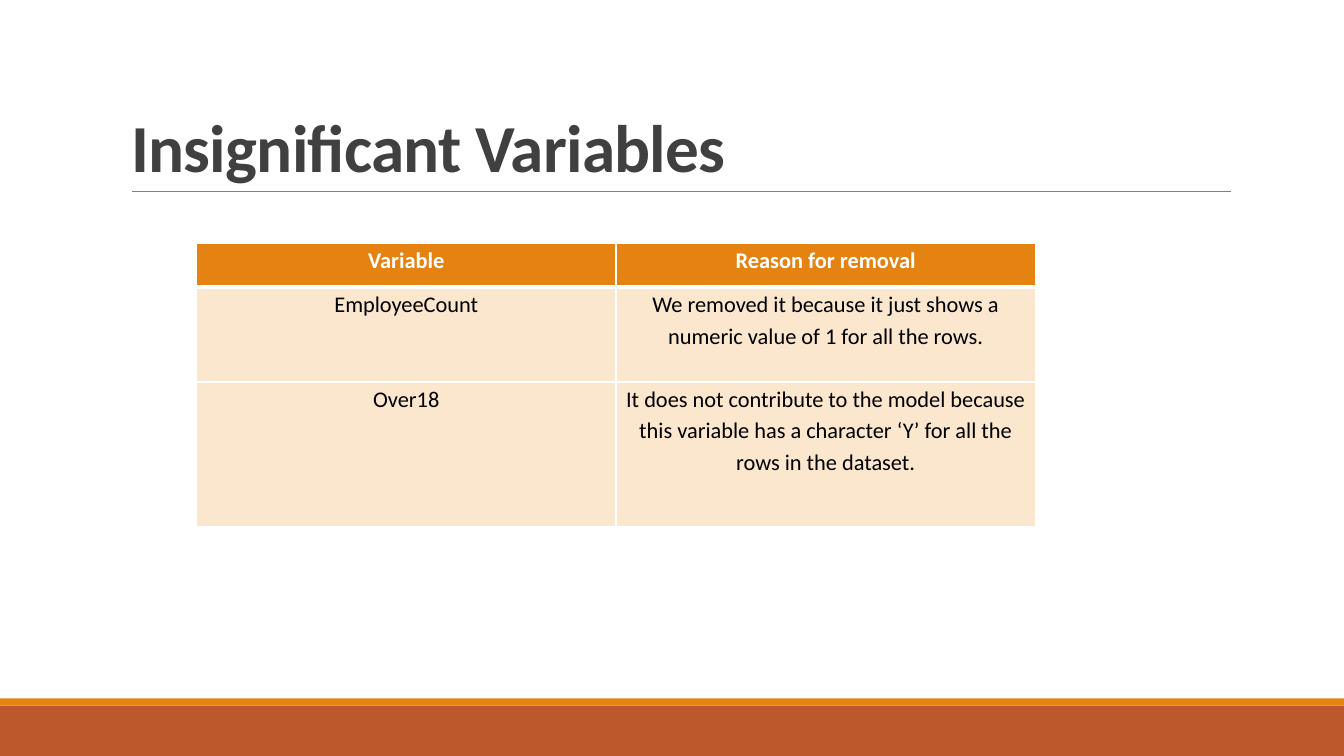
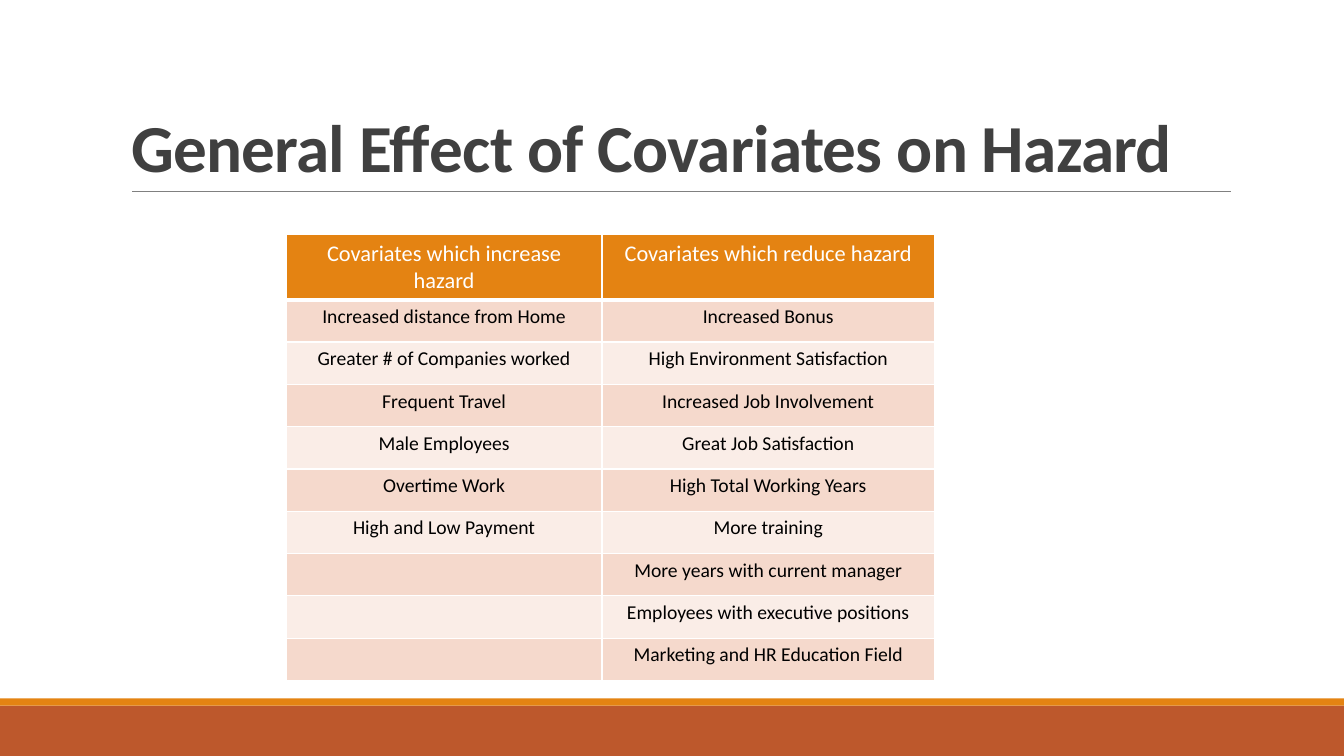
"""Build two table slides that share a title style and footer bands."""
from lxml import etree
from pptx import Presentation
from pptx.dml.color import RGBColor
from pptx.enum.shapes import MSO_CONNECTOR, MSO_SHAPE
from pptx.enum.text import MSO_ANCHOR, MSO_AUTO_SIZE, PP_ALIGN
from pptx.oxml.ns import qn
from pptx.util import Pt

STRAIGHT = MSO_CONNECTOR.STRAIGHT
RECTANGLE = MSO_SHAPE.RECTANGLE
BOTTOM = MSO_ANCHOR.BOTTOM
NO_AUTOFIT = MSO_AUTO_SIZE.NONE
LEFT, CENTER = PP_ALIGN.LEFT, PP_ALIGN.CENTER

PX = 9144
PAGE_WIDTH, PAGE_HEIGHT = 1333, 750
FONT = "Calibri"
TITLE_ONLY = 5

WHITE = RGBColor(0xFF, 0xFF, 0xFF)
BLACK = RGBColor(0x00, 0x00, 0x00)
CHARCOAL = RGBColor(0x40, 0x40, 0x40)
GRAY = RGBColor(0x80, 0x80, 0x80)
ORANGE = RGBColor(0xE4, 0x83, 0x12)
RUST = RGBColor(0xBD, 0x58, 0x2C)
CREAM = RGBColor(0xFB, 0xE6, 0xCE)
PEACH = RGBColor(0xF5, 0xD9, 0xCC)
BLUSH = RGBColor(0xFA, 0xED, 0xE7)

TITLE_BOX = (120, 31, 1100, 159)
TITLE_RULE = (131, 190, 1221, 190)
BANDS = [
    ((0, 700, PAGE_WIDTH, 50), RUST),
    ((0, 693, PAGE_WIDTH, 7), ORANGE),
]

SLIDES = [
    {
        "title": "Insignificant Variables",
        "origin": (195, 241),
        "columns": [416, 416],
        "heights": [44, 94, 143],
        "margins": (7, 0),
        "spacing": 1.15,
        "header_bold": True,
        "body_size": 16,
        "body_fills": [CREAM],
        "rows": [
            ("Variable", "Reason for removal"),
            ("EmployeeCount",
             "We removed it because it just shows a numeric value of 1 "
             "for all the rows."),
            ("Over18",
             "It does not contribute to the model because this variable has "
             "a character ‘Y’ for all the rows in the dataset."),
        ],
    },
    {
        "title": "General Effect of Covariates on Hazard",
        "origin": (284, 233),
        "columns": [313, 330],
        "heights": [63] + [42] * 9,
        "margins": (10, 5),
        "spacing": 1.0,
        "header_bold": False,
        "body_size": 14,
        "body_fills": [PEACH, BLUSH],
        "rows": [
            ("Covariates which increase hazard", "Covariates which reduce hazard"),
            ("Increased distance from Home", "Increased Bonus"),
            ("Greater # of Companies worked", "High Environment Satisfaction"),
            ("Frequent Travel", "Increased Job Involvement"),
            ("Male Employees", "Great Job Satisfaction"),
            ("Overtime Work", "High Total Working Years"),
            ("High and Low Payment", "More training"),
            ("", "More years with current manager"),
            ("", "Employees with executive positions"),
            ("", "Marketing and HR Education Field"),
        ],
    },
]


def scaled(lengths):
    return [length * PX for length in lengths]


def style_font(font, size, color, bold):
    font.name = FONT
    font.size = Pt(size)
    font.bold = bold
    font.color.rgb = color


def add_frame(page):
    for bounds, color in BANDS:
        band = page.shapes.add_shape(RECTANGLE, *scaled(bounds))
        band.shadow.inherit = False
        band.fill.solid()
        band.fill.fore_color.rgb = color
        band.line.fill.background()
    rule = page.shapes.add_connector(STRAIGHT, *scaled(TITLE_RULE))
    rule.line.color.rgb = GRAY
    rule.line.width = Pt(0.5)
    etree.SubElement(rule.element.spPr, qn("a:effectLst"))


def set_title(page, text):
    title = page.shapes.title
    title.left, title.top, title.width, title.height = scaled(TITLE_BOX)
    frame = title.text_frame
    frame.text = text
    frame.word_wrap = True
    frame.auto_size = NO_AUTOFIT
    frame.vertical_anchor = BOTTOM
    paragraph = frame.paragraphs[0]
    paragraph.alignment = LEFT
    paragraph.line_spacing = 0.85
    style_font(paragraph.font, 48, CHARCOAL, True)
    next(title.element.iter(qn("a:defRPr"))).set("spc", "-50")


def add_borders(cell_properties, is_header):
    widths = {"lnL": 1, "lnR": 1}
    if is_header:
        widths["lnT"] = 1
    widths["lnB"] = 3 if is_header else 1
    for position, (side, width) in enumerate(widths.items()):
        border = etree.Element(qn(f"a:{side}"), w=str(Pt(width)))
        fill = etree.SubElement(border, qn("a:solidFill"))
        etree.SubElement(fill, qn("a:srgbClr"), val=str(WHITE))
        cell_properties.insert(position, border)


def fill_cell(cell, text, content, row):
    is_header = row == 0
    fills = content["body_fills"]
    side, edge = scaled(content["margins"])
    cell.margin_left = cell.margin_right = side
    cell.margin_top = cell.margin_bottom = edge
    cell.fill.solid()
    cell.fill.fore_color.rgb = ORANGE if is_header else fills[(row - 1) % len(fills)]
    cell.text = text
    paragraph = cell.text_frame.paragraphs[0]
    paragraph.alignment = CENTER
    paragraph.line_spacing = content["spacing"]
    if is_header:
        style_font(paragraph.font, 16, WHITE, content["header_bold"])
    else:
        style_font(paragraph.font, content["body_size"], BLACK, False)


def add_content_table(page, content):
    rows, columns, heights = content["rows"], content["columns"], content["heights"]
    bounds = (*content["origin"], sum(columns), sum(heights))
    holder = page.shapes.add_table(len(rows), len(columns), *scaled(bounds))
    table = holder.table
    table.horz_banding = False
    for column, width in zip(table.columns, scaled(columns)):
        column.width = width
    for row, height in zip(table.rows, scaled(heights)):
        row.height = height
    for row, texts in enumerate(rows):
        for column, text in enumerate(texts):
            fill_cell(table.cell(row, column), text, content, row)
    for index, properties in enumerate(holder.element.iter(qn("a:tcPr"))):
        add_borders(properties, index < len(columns))


def main():
    deck = Presentation()
    deck.slide_width, deck.slide_height = scaled((PAGE_WIDTH, PAGE_HEIGHT))
    for content in SLIDES:
        page = deck.slides.add_slide(deck.slide_layouts[TITLE_ONLY])
        add_frame(page)
        set_title(page, content["title"])
        add_content_table(page, content)
    deck.save("out.pptx")


if __name__ == "__main__":
    main()
